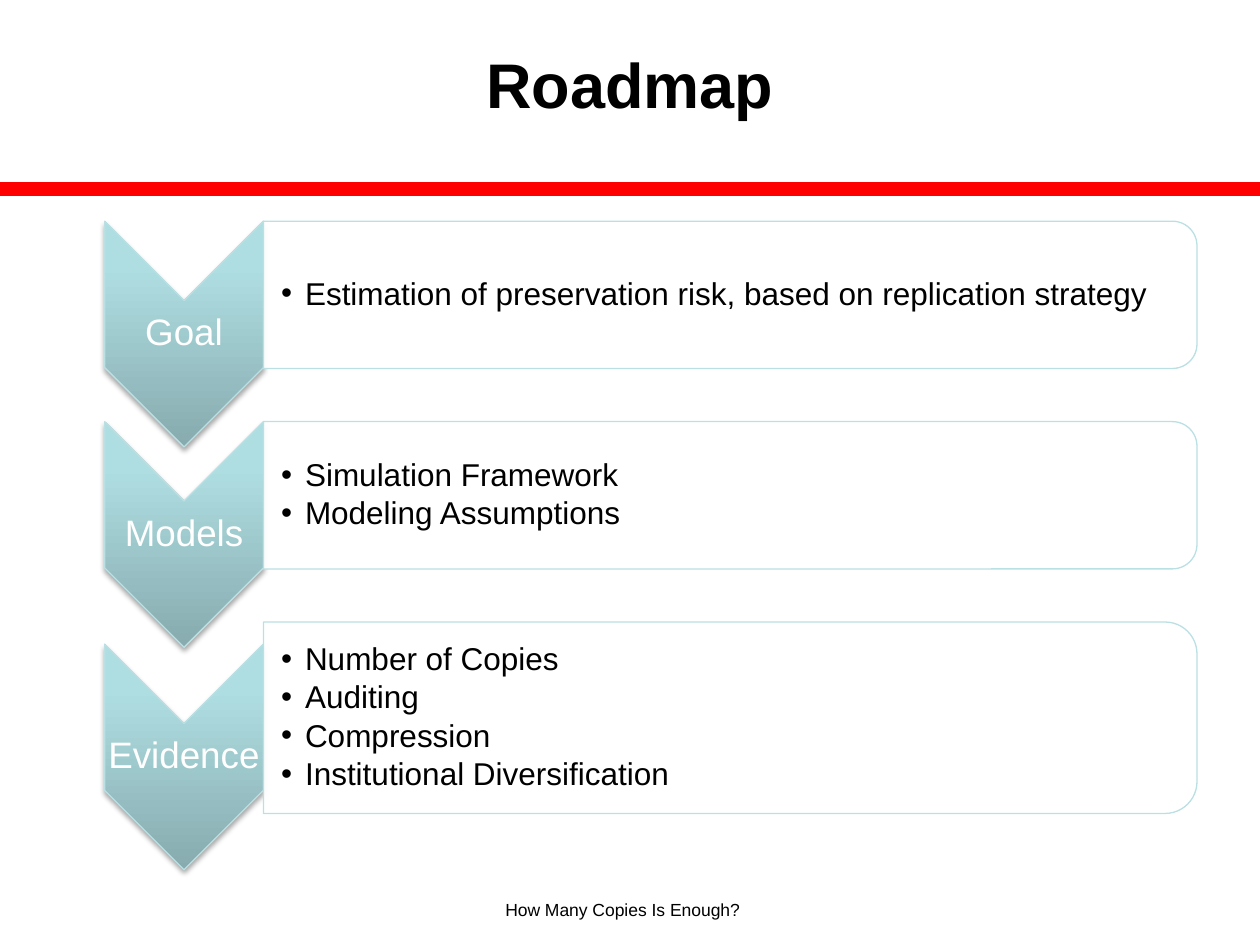
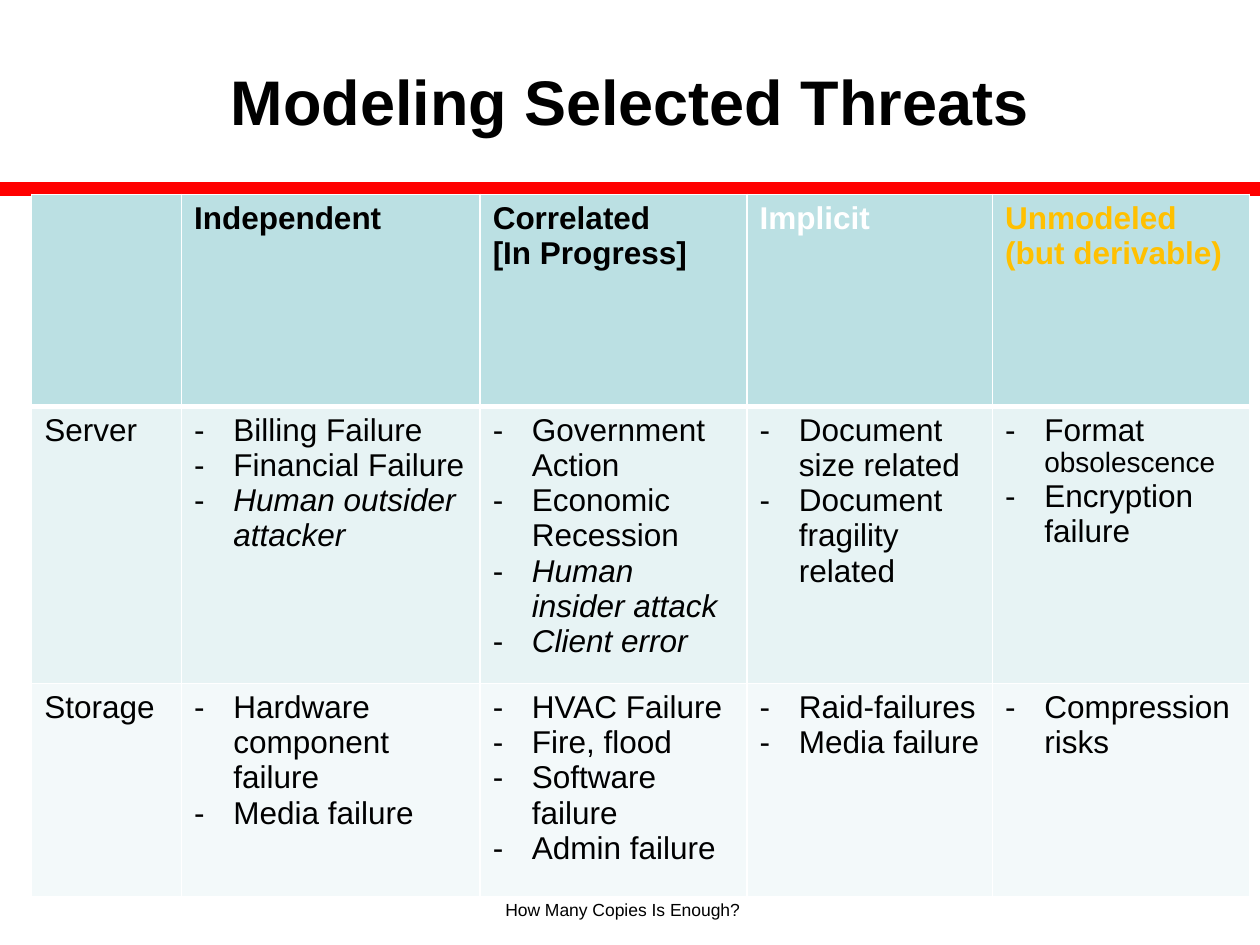
from dataclasses import dataclass

from lxml import etree
from pptx import Presentation
from pptx.dml.color import RGBColor
from pptx.enum.shapes import MSO_CONNECTOR, MSO_SHAPE
from pptx.enum.text import MSO_ANCHOR, PP_ALIGN
from pptx.oxml import parse_xml
from pptx.oxml.ns import nsdecls, qn
from pptx.util import Cm, Pt

FONT = "Arial"
BLACK = RGBColor(0x00, 0x00, 0x00)
WHITE = RGBColor(0xFF, 0xFF, 0xFF)
RED = RGBColor(0xFF, 0x00, 0x00)
AMBER = RGBColor(0xFF, 0xC0, 0x00)
TEAL = RGBColor(0xBB, 0xE0, 0xE3)
TEAL_DARK = RGBColor(0x87, 0xAB, 0xAE)
TEAL_MID = RGBColor(0xAF, 0xDE, 0xE2)
TEAL_LIGHT = RGBColor(0xAF, 0xE0, 0xE4)
ROW_FILLS = [TEAL, RGBColor(0xE7, 0xF3, 0xF4), RGBColor(0xF3, 0xF9, 0xFA)]

FOOTER = "How Many Copies Is Enough?"

# Roadmap grid, in centimetres
CHEVRON_X, CHEVRON_W, CHEVRON_H = 2.11, 3.2, 4.55
CARD_X, CARD_W = CHEVRON_X + CHEVRON_W, 18.82
FIRST_TOP, CARD_GAP, STEP_H = 4.46, 1.07, 2.97
LABEL_H = 1.37

STEPS = [
    ("Goal", 2.97,
     ["Estimation of preservation risk, based on replication strategy"]),
    ("Models", 2.97, ["Simulation Framework", "Modeling Assumptions"]),
    ("Evidence", 3.86, ["Number of Copies", "Auditing", "Compression",
                        "Institutional Diversification"]),
]


@dataclass
class Span:
    text: str
    size: int = 18
    italic: bool = False


COL_WIDTHS = [3.02, 6.02, 5.38, 4.95, 5.18]
ROW_HEIGHTS = [4.27, 5.28, 4.3]
HEADERS = [
    ([], BLACK),
    (["Independent"], BLACK),
    (["Correlated", "[In Progress]"], BLACK),
    (["Implicit"], WHITE),
    (["Unmodeled", "(but derivable)"], AMBER),
]
THREATS = [
    ("Server", [
        ["Billing Failure", "Financial Failure",
         [Span("Human outsider attacker", italic=True)]],
        ["Government Action", "Economic Recession",
         [Span("Human insider attack", italic=True)],
         [Span("Client error", italic=True)]],
        ["Document size related", "Document fragility related"],
        [[Span("Format "), Span("obsolescence", size=16)],
         "Encryption failure"],
    ]),
    ("Storage", [
        ["Hardware component failure", "Media failure"],
        ["HVAC Failure", "Fire, flood", "Software failure", "Admin failure"],
        ["Raid-failures", "Media failure"],
        ["Compression risks"],
    ]),
]


def add_run(p, text, size, color=BLACK, bold=False, italic=False):
    r = p.add_run()
    r.text = text
    f = r.font
    f.name, f.size, f.bold, f.italic = FONT, Pt(size), bold, italic
    f.color.rgb = color


def set_bullet(p, char, indent):
    pPr = p._p.get_or_add_pPr()
    pPr.set("marL", str(Cm(indent)))
    pPr.set("indent", str(-Cm(indent)))
    etree.SubElement(pPr, qn("a:buFont")).set("typeface", FONT)
    etree.SubElement(pPr, qn("a:buChar")).set("char", char)


def paragraphs(tf, items):
    """Yield a paragraph of the frame for each item, reusing the first."""
    for i, item in enumerate(items):
        yield (tf.add_paragraph() if i else tf.paragraphs[0]), item


def add_textbox(slide, x, y, w, h, margins=None, anchor=MSO_ANCHOR.MIDDLE):
    tf = slide.shapes.add_textbox(Cm(x), Cm(y), Cm(w), Cm(h)).text_frame
    tf.word_wrap = True
    tf.vertical_anchor = anchor
    if margins:
        (tf.margin_left, tf.margin_top,
         tf.margin_right, tf.margin_bottom) = map(Cm, margins)
    return tf


def add_slide(prs, title, title_top):
    """Add a slide with the red rule, the title and the footer."""
    slide = prs.slides.add_slide(prs.slide_layouts[5])
    rule = slide.shapes.add_connector(
        MSO_CONNECTOR.STRAIGHT, 0, Cm(3.81), prs.slide_width, Cm(3.81))
    rule.line.color.rgb = RED
    rule.line.width = Pt(8)
    etree.SubElement(rule._element.spPr, qn("a:effectLst"))

    sp = slide.shapes.title
    sp.left, sp.top, sp.width, sp.height = map(
        Cm, (1.27, title_top, 22.86, 3.18))
    sp.text_frame.vertical_anchor = MSO_ANCHOR.MIDDLE
    p = sp.text_frame.paragraphs[0]
    p.alignment = PP_ALIGN.CENTER
    add_run(p, title, 36, bold=True)

    p = add_textbox(slide, 7.57, 18, 9.96, 0.69,
                    anchor=MSO_ANCHOR.TOP).paragraphs[0]
    p.alignment = PP_ALIGN.CENTER
    add_run(p, FOOTER, 10)
    return slide


def add_turned_shape(slide, preset, x, y, w, h):
    """Add a shape turned a quarter clockwise that shows in the given box."""
    sp = slide.shapes.add_shape(
        preset, Cm(x + (w - h) / 2), Cm(y + (h - w) / 2), Cm(h), Cm(w))
    sp.rotation = 90
    sp.line.color.rgb = TEAL
    sp.line.width = Pt(0.75)
    return sp


def add_chevron(slide, y):
    sp = add_turned_shape(slide, MSO_SHAPE.CHEVRON,
                          CHEVRON_X, y, CHEVRON_W, CHEVRON_H)
    stops = "".join(
        f'<a:gs pos="{pos}000"><a:srgbClr val="{color}"/></a:gs>'
        for pos, color in ((0, TEAL_DARK), (80, TEAL_MID), (100, TEAL_LIGHT)))
    spPr = sp._element.spPr
    spPr.find(qn("a:prstGeom")).addnext(parse_xml(
        f'<a:gradFill {nsdecls("a")} rotWithShape="0"><a:gsLst>{stops}'
        '</a:gsLst><a:lin ang="16200000" scaled="0"/></a:gradFill>'))
    spPr.append(parse_xml(
        f'<a:effectLst {nsdecls("a")}><a:outerShdw blurRad="{Pt(3.1)}" '
        f'dist="{Pt(1.8)}" dir="5400000" rotWithShape="0">'
        f'<a:srgbClr val="{BLACK}"><a:alpha val="35000"/></a:srgbClr>'
        '</a:outerShdw></a:effectLst>'))


def add_card(slide, y, h):
    sp = add_turned_shape(slide, MSO_SHAPE.ROUND_2_SAME_RECTANGLE,
                          CARD_X, y, CARD_W, h)
    sp.shadow.inherit = False
    sp.fill.solid()
    sp.fill.fore_color.rgb = WHITE
    color = sp._element.spPr.find(qn("a:solidFill"))[0]
    etree.SubElement(color, qn("a:alpha")).set("val", "90000")


def add_step(slide, y, h, label, points):
    chevron_y = y + (h - STEP_H) / 2
    add_chevron(slide, chevron_y)
    tf = add_textbox(slide, CHEVRON_X, chevron_y + (CHEVRON_H - LABEL_H) / 2,
                     CHEVRON_W, LABEL_H, (0.03,) * 4)
    p = tf.paragraphs[0]
    p.alignment = PP_ALIGN.CENTER
    p.line_spacing = 0.9
    add_run(p, label, 21, WHITE)

    add_card(slide, y, h)
    tf = add_textbox(slide, CARD_X, y, CARD_W, h, (0.36, 0.03, 0.03, 0.03))
    for p, point in paragraphs(tf, points):
        set_bullet(p, "•", 0.48)
        p.line_spacing = 0.9
        p.space_after = Pt(2.5)
        add_run(p, point, 18)


def style_cell(cell, fill, bottom_width):
    tcPr = cell._tc.get_or_add_tcPr()
    for side, width in zip("LRTB", (1, 1, 1, bottom_width)):
        tcPr.append(parse_xml(
            f'<a:ln{side} {nsdecls("a")} w="{Pt(width)}"><a:solidFill>'
            f'<a:srgbClr val="{WHITE}"/></a:solidFill></a:ln{side}>'))
    cell.fill.solid()
    cell.fill.fore_color.rgb = fill


def fill_cell(cell, items, color=BLACK, bold=False, dashed=False):
    """Write one paragraph for each item, a string or a list of spans."""
    for p, item in paragraphs(cell.text_frame, items):
        if dashed:
            set_bullet(p, "-", 0.79)
        for span in [Span(item)] if isinstance(item, str) else item:
            add_run(p, span.text, span.size, color, bold, span.italic)


def add_threat_table(slide):
    table = slide.shapes.add_table(
        len(ROW_HEIGHTS), len(COL_WIDTHS), Cm(0.64), Cm(3.92),
        Cm(sum(COL_WIDTHS)), Cm(sum(ROW_HEIGHTS))).table
    for col, width in zip(table.columns, COL_WIDTHS):
        col.width = Cm(width)
    for i, (row, height) in enumerate(zip(table.rows, ROW_HEIGHTS)):
        row.height = Cm(height)
        for cell in row.cells:
            style_cell(cell, ROW_FILLS[i], 1 if i else 3)

    for c, (lines, color) in enumerate(HEADERS):
        fill_cell(table.cell(0, c), lines, color, bold=True)
    for r, (place, columns) in enumerate(THREATS, 1):
        fill_cell(table.cell(r, 0), [place])
        for c, threats in enumerate(columns, 1):
            fill_cell(table.cell(r, c), threats, dashed=True)


def main():
    prs = Presentation()
    prs.slide_width, prs.slide_height = Cm(25.4), Cm(19.05)

    roadmap = add_slide(prs, "Roadmap", 0.08)
    y = FIRST_TOP
    for label, height, points in STEPS:
        add_step(roadmap, y, height, label, points)
        y += height + CARD_GAP

    add_threat_table(add_slide(prs, "Modeling Selected Threats", 0.43))
    prs.save("out.pptx")


if __name__ == "__main__":
    main()
